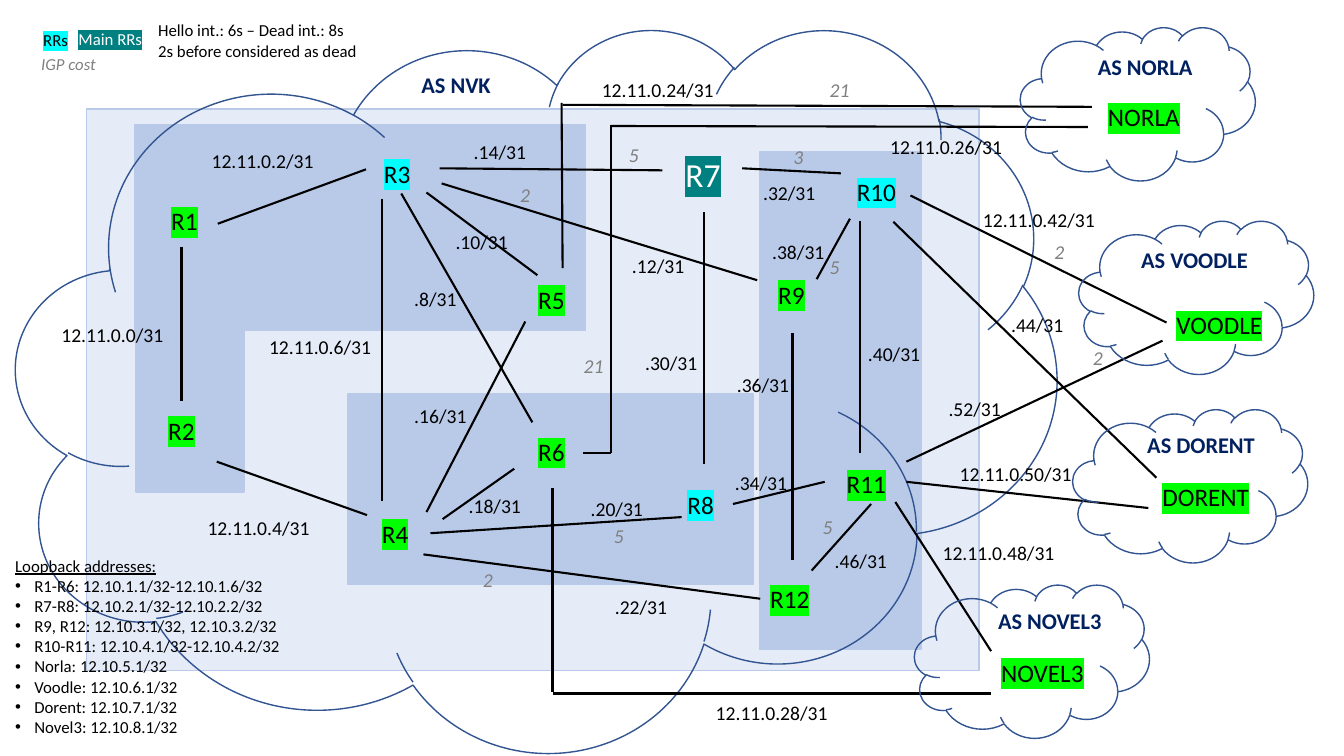
from lxml import etree
from pptx import Presentation
from pptx import util as u
from pptx.dml.color import RGBColor
from pptx.enum import shapes, text
from pptx.oxml import ns

COLORS = {
    "black": "000000", "white": "FFFFFF", "gray": "808080", "navy": "002060",
    "green": "00FF00", "cyan": "00FFFF", "teal": "008080",
    "area": "E5EBF7", "zone": "B9CAE9", "cloud": "325491",
}
STYLES = {
    "heading": ({"size": 16, "bold": True}, "navy", None),
    "router": ({"size": 18}, "black", "green"),
    "reflector": ({"size": 18}, "black", "cyan"),
    "main": ({"size": 24}, "white", "teal"),
    "link": ({"size": 14}, "black", None),
    "cost": ({"size": 14, "italic": True}, "gray", None),
    "note": ({"size": 12}, "black", None),
    "cost key": ({"size": 12, "italic": True}, "gray", None),
    "reflector key": ({"size": 12}, "black", "cyan"),
    "main key": ({"size": 12}, "white", "teal"),
}
ZONES = [(7.53, 1.51, 1.61, 4.93), (3.45, 3.91, 4.02, 1.89),
         (1.35, 3.19, 1.07, 1.69), (1.34, 1.24, 4.47, 2.04)]
PEERS = [
    ("NORLA", (10.12, 0.27), (10.79, 0.48), (10.89, 0.96)),
    ("VOODLE", (10.7, 2.19), (11.22, 2.39), (11.57, 3.02)),
    ("DORENT", (10.64, 4.06), (11.28, 4.23), (11.43, 4.73)),
    ("NOVEL3", (9.07, 5.8), (9.8, 5.97), (9.83, 6.47)),
]
LINES = [
    (1.8, 2.45, 1.8, 3.98), (3.63, 1.68, 2.16, 2.22), (3.64, 5.11, 2.15, 4.58),
    (5.33, 2.73, 4.23, 1.91), (6.57, 1.69, 4.36, 1.67), (5.28, 4.19, 3.98, 1.92),
    (5.21, 3.19, 4.23, 5.08), (3.79, 1.97, 3.79, 4.97), (6.76, 5.13, 4.27, 5.29),
    (5.1, 4.65, 4.39, 5.15), (8.34, 1.72, 7.36, 1.67), (6.98, 4.6, 6.98, 2.1),
    (5.57, 1.02, 5.58, 2.66), (10.83, 1.06, 5.58, 1.04), (6.06, 4.49, 5.78, 4.49),
    (6.06, 1.24, 6.06, 4.49), (10.79, 1.26, 6.06, 1.25), (5.48, 4.84, 5.48, 6.87),
    (9.83, 6.88, 5.48, 6.88), (7.51, 2.78, 4.38, 1.82), (7.54, 5.94, 4.2, 5.5),
    (7.86, 5.56, 7.86, 3.3), (8.43, 2.17, 8.1, 2.77), (8.18, 4.78, 7.27, 5),
    (8.53, 2.19, 8.53, 4.49), (8.64, 5, 8.05, 5.66), (9.03, 1.94, 11.57, 3.2),
    (8.86, 2.2, 11.47, 4.74), (8.99, 4.58, 11.53, 3.38), (8.99, 4.78, 11.39, 5.04),
    (8.88, 4.98, 9.83, 6.46),
]
ROUTERS = [
    ("R1", 1.6, 1.99, "router"), ("R2", 1.57, 4.07, "router"),
    ("R3", 3.71, 1.52, "reflector"), ("R4", 3.69, 5.09, "router"),
    ("R5", 5.24, 2.77, "router"), ("R6", 5.24, 4.28, "router"),
    ("R7", 6.7, 1.48, "main"), ("R8", 6.72, 4.8, "reflector"),
    ("R9", 7.62, 2.72, "router"), ("R10", 8.4, 1.7, "reflector"),
    ("R11", 8.3, 4.6, "router"), ("R12", 7.54, 5.74, "router"),
]
LINKS = [
    ("12.11.0.0/31", 0.51, 3.15), ("12.11.0.2/31", 2, 1.43),
    ("12.11.0.4/31", 1.96, 5.07), (".8/31", 4.01, 2.8),
    ("12.11.0.6/31", 2.57, 3.27), (".10/31", 4.42, 2.23),
    (".12/31", 6.17, 2.47), (".14/31", 4.6, 1.34), (".16/31", 4.01, 3.96),
    (".18/31", 4.55, 4.85), (".20/31", 5.76, 4.88), (".22/31", 6, 5.85),
    ("12.11.0.24/31", 5.87, 0.72), ("12.11.0.26/31", 8.73, 1.29),
    ("12.11.0.28/31", 7, 6.9), (".30/31", 6.3, 3.43), (".32/31", 7.47, 1.75),
    (".34/31", 7.19, 4.62), (".36/31", 7.21, 3.65), (".38/31", 7.56, 2.33),
    (".40/31", 8.51, 3.34), ("12.11.0.42/31", 9.65, 2.01),
    (".44/31", 9.93, 3.06), (".46/31", 8.18, 5.4), ("12.11.0.48/31", 9.25, 5.32),
    ("12.11.0.50/31", 9.42, 4.53), (".52/31", 9.31, 3.89),
]
LINK_WIDTHS = {5: 0.63, 6: 0.73, 12: 1.22, 13: 1.32}
COSTS = [
    ("2", 5.06, 1.77), ("5", 6.14, 1.37), ("5", 5.99, 5.15), ("2", 4.69, 5.58),
    ("21", 8.13, 0.72), ("21", 5.69, 3.46), ("3", 7.77, 1.39), ("5", 8.13, 2.48),
    ("2", 10.36, 2.33), ("5", 8.06, 5.06), ("2", 10.74, 3.38),
]
KEYS = [
    ("RRs", 0.33, 0.25, 2.95, "reflector key"),
    ("Main RRs", 0.68, 0.24, 2.95, "main key"),
    ("Hello int.: 6s – Dead int.: 8s\n2s before considered as dead", 1.47, 0.15, 2.44, "note"),
    ("IGP cost", 0.31, 0.48, 1.18, "cost key"),
]
LOOPBACKS = [
    "Loopback addresses:",
    "R1-R6: 12.10.1.1/32-12.10.1.6/32",
    "R7-R8: 12.10.2.1/32-12.10.2.2/32",
    "R9, R12: 12.10.3.1/32, 12.10.3.2/32",
    "R10-R11: 12.10.4.1/32-12.10.4.2/32",
] + [f"{peer[0].title()}: 12.10.{number}.1/32" for number, peer in enumerate(PEERS, 5)]


def inches(*values):
    """Turn inch values into lengths."""
    return [u.Cm(value * 2.54) for value in values]


def rgb(name):
    """Look up a named colour."""
    return RGBColor.from_string(COLORS[name])


class NetworkSlide:
    """Draws the elements of the network map on one slide."""

    def __init__(self, presentation, font="Calibri"):
        """Add the slide and keep the font."""
        self.font = font
        self.slide = presentation.slides.add_slide(presentation.slide_layouts[1])

    def outline(self, kind, box, line, fill=None):
        """Add a preset shape with a thin line."""
        shape = self.slide.shapes.add_shape(kind, *inches(*box))
        shape.shadow.inherit = False
        if fill:
            shape.fill.solid()
            shape.fill.fore_color.rgb = rgb(fill)
        else:
            shape.fill.background()
        shape.line.color.rgb = rgb(line)
        shape.line.width = u.Pt(1)

    def link(self, ends):
        """Add a straight link between two points."""
        connector = self.slide.shapes.add_connector(shapes.MSO_CONNECTOR.STRAIGHT, *inches(*ends))
        connector.line.color.rgb = rgb("black")
        connector.line.width = u.Pt(1.5)
        etree.SubElement(connector.element.spPr, ns.qn("a:effectLst"))

    def label(self, words, left, top, width, style, wrap=True):
        """Add a text box in a named style."""
        shape = self.slide.shapes.add_textbox(0, 0, 0, 0)
        self.fill_text(shape, words, left, top, width, style, wrap)

    def title(self, words, left, top, width):
        """Move and fill the title placeholder."""
        self.fill_text(self.slide.shapes.title, words, left, top, width, "heading")

    def bullets(self, lines, left, top, width):
        """Move the body placeholder to the front and fill it with a headed list."""
        shape = self.slide.placeholders[1]
        shape.element.getparent().append(shape.element)
        self.fill_text(shape, "\n".join(lines), left, top, width, "note")
        heading, *items = shape.text_frame.paragraphs
        heading.runs[0].font.underline = True
        self.bullet(heading, "buNone", 0)
        for paragraph in items:
            self.bullet(paragraph, "buChar", 0.19, char="•")

    def bullet(self, paragraph, tag, indent, **attributes):
        """Set the hanging indent and bullet of a paragraph."""
        properties = paragraph._p.get_or_add_pPr()
        hanging = inches(indent)[0]
        properties.set("marL", str(hanging))
        properties.set("indent", str(-hanging))
        etree.SubElement(properties, ns.qn(f"a:{tag}"), **attributes)

    def fill_text(self, shape, words, left, top, width, style, wrap=True):
        """Place a shape and fill it with styled text."""
        values, color, highlight = STYLES[style]
        height = (words.count("\n") + 1) * values["size"] * 1.22 / 72 + 0.1
        shape.left, shape.top, shape.width, shape.height = inches(left, top, width, height)
        frame = shape.text_frame
        frame.text = words
        frame_format = {"word_wrap": wrap, "vertical_anchor": text.MSO_ANCHOR.TOP,
                        "auto_size": text.MSO_AUTO_SIZE.SHAPE_TO_FIT_TEXT}
        for name, value in frame_format.items():
            setattr(frame, name, value)
        for paragraph in frame.paragraphs:
            paragraph.alignment = text.PP_ALIGN.LEFT
            paragraph.space_before = u.Pt(0)
            run = paragraph.runs[0]
            for name, value in {**values, "size": u.Pt(values["size"]), "name": self.font}.items():
                setattr(run.font, name, value)
            run.font.color.rgb = rgb(color)
            if highlight:
                mark = etree.Element(ns.qn("a:highlight"))
                etree.SubElement(mark, ns.qn("a:srgbClr"), val=COLORS[highlight])
                run._r.get_or_add_rPr().find(ns.qn("a:latin")).addprevious(mark)


def main():
    """Build the network map and save it."""
    presentation = Presentation()
    presentation.slide_width, presentation.slide_height = inches(13.33, 7.5)
    network = NetworkSlide(presentation)
    process, cloud = shapes.MSO_SHAPE.FLOWCHART_PROCESS, shapes.MSO_SHAPE.CLOUD
    network.outline(process, (0.86, 1.08, 8.85, 5.57), "zone", "area")
    for box in ZONES:
        network.outline(process, box, "zone", "zone")
    network.title("AS NVK", 4.08, 0.66, 2.11)
    network.outline(cloud, (0.16, 0.28, 10.32, 7.17), "cloud")
    for ends in LINES:
        network.link(ends)
    for name, corner, heading, router in PEERS:
        network.outline(cloud, (*corner, 2.33, 1.52), "cloud")
        network.label(f"AS {name}", *heading, 2.11, "heading")
        network.label(name, *router, 1.22, "router")
    for name, left, top, style in ROUTERS:
        network.label(name, left, top, 0.7, style)
    for address, left, top in LINKS:
        network.label(address, left, top, LINK_WIDTHS[len(address)], "link", wrap=False)
    for cost, left, top in COSTS:
        network.label(cost, left, top, 0.47, "cost")
    for key in KEYS:
        network.label(*key)
    network.bullets(LOOPBACKS, 0.05, 5.46, 2.95)
    presentation.save("out.pptx")


if __name__ == "__main__":
    main()
